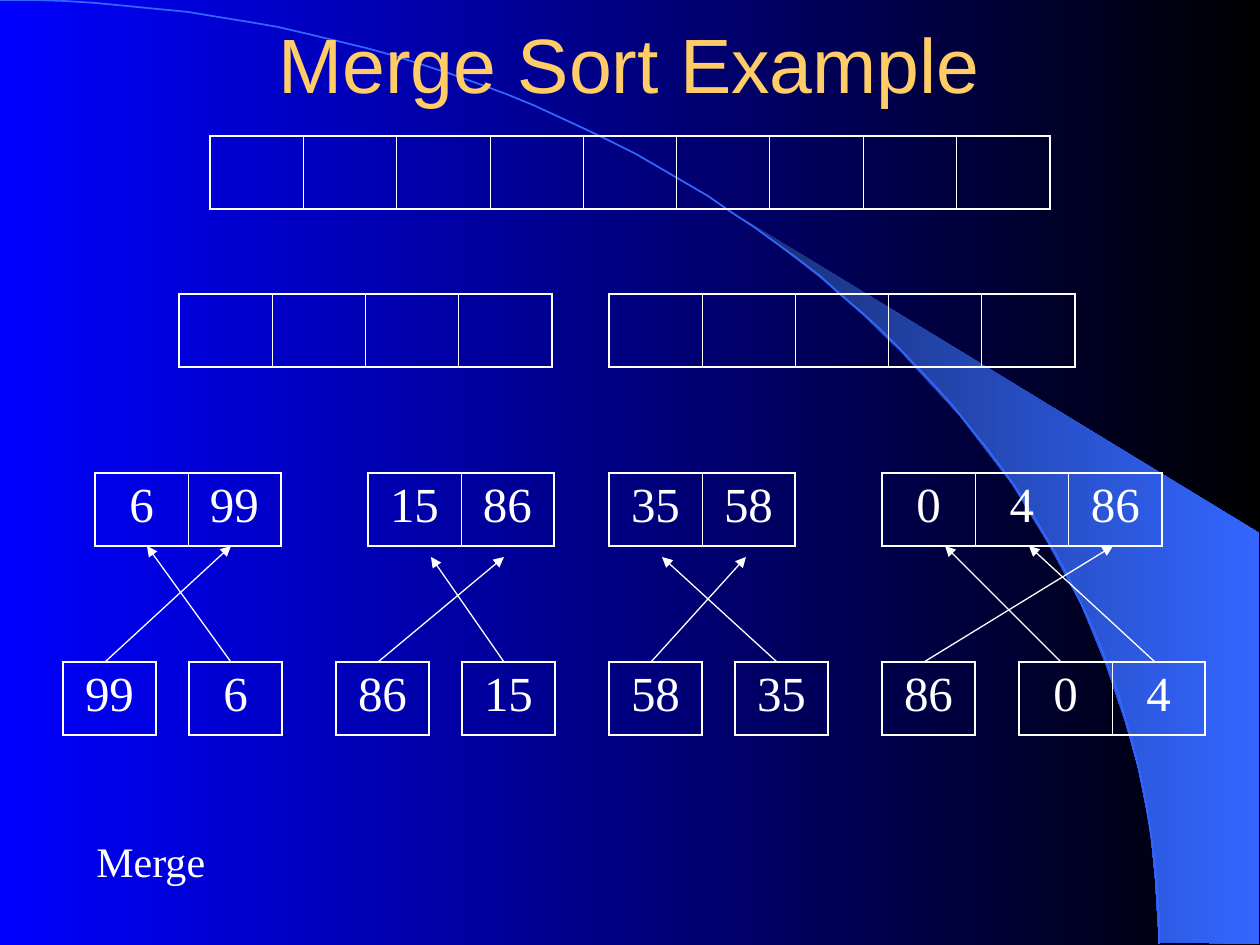
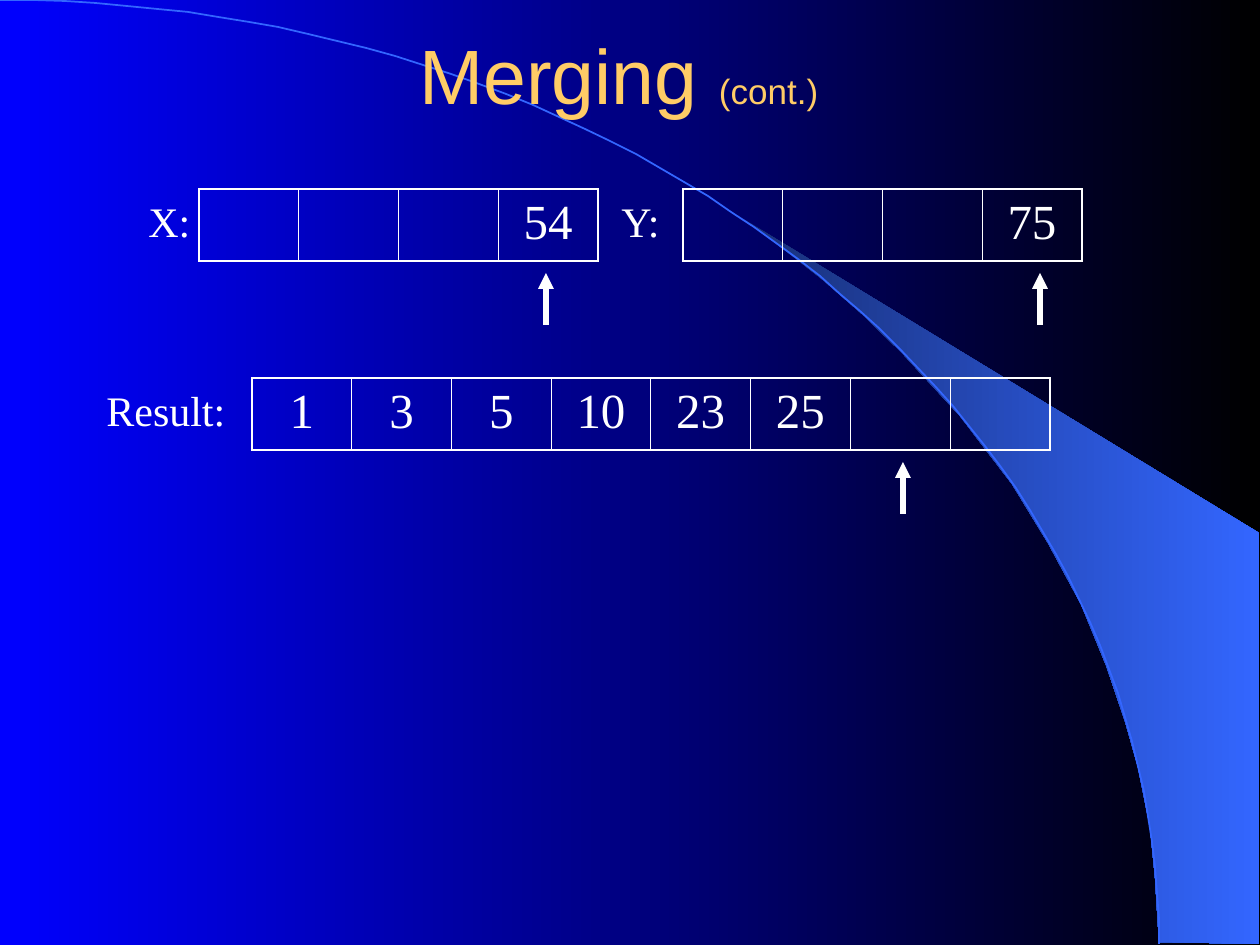
from lxml.etree import SubElement
from pptx import Presentation
from pptx.dml.color import RGBColor as RGB
from pptx.enum.shapes import MSO_CONNECTOR as CONN
from pptx.enum.text import MSO_ANCHOR as ANCHOR, PP_ALIGN as ALIGN
from pptx.oxml.ns import qn
from pptx.util import Emu, Pt

EMU_PER_PX = 914400 / 126
W, H = 1260, 945
COLORS = {
    "bg_left": "0000FF",
    "bg_right": "000000",
    "wedge_dark": "182F76",
    "accent": "3366FF",
    "title": "FFCC66",
    "white": "FFFFFF",
}
WEDGE = [
    (1159, 942), (1259, 944), (1259, 533), (742, 218), (786, 251), (823, 280),
    (863, 315), (902, 353), (960, 416), (1012, 484), (1048, 543), (1081, 604),
    (1106, 665), (1125, 721), (1138, 767), (1150, 827), (1155, 877),
]
ARC_END = (1159, 944)
ARC_CONTROLS = [(0, 0), (640, 0), (1159, 422), ARC_END]
ARC_STEPS = 60


def px(n):
    return Emu(round(n * EMU_PER_PX))


def rgb(name):
    return RGB.from_string(COLORS[name])


def write(tf, *runs, size=24, font="Times New Roman", color="white", align=ALIGN.LEFT, before=0):
    p = tf.paragraphs[0]
    p.alignment = align
    p.space_before = Pt(before)
    for run in runs:
        text, run_size = run if isinstance(run, tuple) else (run, size)
        r = p.add_run()
        r.text = text
        r.font.size = Pt(run_size)
        r.font.name = font
        r.font.color.rgb = rgb(color)


def gradient(fill, start, end):
    fill.gradient()
    fill.gradient_angle = 0
    for stop, name, position in zip(fill.gradient_stops, (start, end), (0, 1)):
        stop.color.rgb = rgb(name)
        stop.position = position


def bezier(controls, t):
    weights = ((1 - t) ** 3, 3 * t * (1 - t) ** 2, 3 * t**2 * (1 - t), t**3)
    return tuple(sum(w * c[axis] for w, c in zip(weights, controls)) for axis in (0, 1))


class Deck:
    def __init__(self):
        self.prs = Presentation()
        self.prs.slide_width, self.prs.slide_height = px(W), px(H)
        self.s = None

    def slide(self, *title, top, height):
        self.s = self.prs.slides.add_slide(self.prs.slide_layouts[6])
        gradient(self.s.background.fill, "bg_left", "bg_right")
        wedge = self.outline(WEDGE, close=True)
        gradient(wedge.fill, "wedge_dark", "accent")
        wedge.line.fill.background()
        arc = self.outline([bezier(ARC_CONTROLS, i / ARC_STEPS) for i in range(ARC_STEPS + 1)])
        arc.fill.background()
        arc.line.color.rgb = rgb("accent")
        arc.line.width = Pt(1)
        tf = self.box(94, top, 1071, height)
        tf.vertical_anchor = ANCHOR.MIDDLE
        write(tf, *title, size=44, font="Arial", color="title", align=ALIGN.CENTER)

    def outline(self, points, close=False):
        builder = self.s.shapes.build_freeform(*points[0], scale=EMU_PER_PX)
        builder.add_line_segments(points[1:], close=close)
        sp = builder.convert_to_shape()
        sp.shadow.inherit = False
        return sp

    def box(self, x, y, w, h):
        tf = self.s.shapes.add_textbox(px(x), px(y), px(w), px(h)).text_frame
        tf.word_wrap = True
        return tf

    def label(self, text, x, y, w):
        write(self.box(x, y, w, 63), text, before=15)

    def cells(self, x, y, w, h, values):
        n = len(values)
        table = self.s.shapes.add_table(1, n, px(x), px(y), px(w), px(h)).table
        table.first_row = table.horz_banding = False
        for i, value in enumerate(values):
            table.columns[i].width = px(w / n)
            cell = table.cell(0, i)
            if value != "":
                write(cell.text_frame, str(value), size=28, align=ALIGN.CENTER, before=7)
            left = 1.08 if i == 0 else 0.45
            right = 1.08 if i == n - 1 else 0.45
            self.borders(cell, lnL=left, lnR=right, lnT=1.08, lnB=1.08)
            cell.fill.background()

    def borders(self, cell, **widths):
        tc_pr = cell._tc.get_or_add_tcPr()
        for tag, width in widths.items():
            ln = SubElement(tc_pr, qn(f"a:{tag}"), w=str(Pt(width)))
            fill = SubElement(ln, qn("a:solidFill"))
            SubElement(fill, qn("a:srgbClr"), val=COLORS["white"])

    def arrow(self, x1, y1, x2, y2, width=0.75):
        c = self.s.shapes.add_connector(CONN.STRAIGHT, px(x1), px(y1), px(x2), px(y2))
        c.line.color.rgb = rgb("white")
        c.line.width = Pt(width)
        SubElement(c.line._get_or_add_ln(), qn("a:tailEnd"), type="triangle")
        SubElement(c._element.spPr, qn("a:effectLst"))


def sort_example(deck):
    deck.slide("Merge Sort Example", top=0, height=126)
    levels = {
        136: [(210, [""] * 9)],
        294: [(179, [""] * 4), (609, [""] * 5)],
        473: [(95, [6, 99]), (368, [15, 86]), (609, [35, 58]), (882, [0, 4, 86])],
        662: [(63, [99]), (189, [6]), (336, [86]), (462, [15]),
              (609, [58]), (735, [35]), (882, [86]), (1019, [0, 4])],
    }
    for y, groups in levels.items():
        for x, values in groups:
            deck.cells(x, y, 280 * len(values) // 3, 73, values)
    deck.label("Merge", 84, 829, 640)
    moves = {
        546: [(105, 231), (231, 147), (924, 1113), (1061, 945), (1155, 1029)],
        557: [(378, 504), (504, 431), (651, 746), (777, 662)],
    }
    for tip, pairs in moves.items():
        for start, end in pairs:
            deck.arrow(start, 662, end, tip)


def merging(deck):
    deck.slide("Merging ", ("(cont.)", 20), " ", top=21, height=105)
    arrays = [
        ("X:", 136, 73, 199, 189, ["", "", "", 54], 546),
        ("Y:", 609, 73, 683, 189, ["", "", "", 75], 1040),
        ("Result:", 94, 147, 252, 378, [1, 3, 5, 10, 23, 25, "", ""], 903),
    ]
    for name, name_x, name_w, x, y, values, pointer in arrays:
        deck.cells(x, y, 399 * len(values) // 4, 72, values)
        deck.arrow(pointer, y + 136, pointer, y + 84, width=3)
        deck.label(name, name_x, y, name_w)


def main():
    deck = Deck()
    sort_example(deck)
    merging(deck)
    deck.prs.save("out.pptx")


if __name__ == "__main__":
    main()
